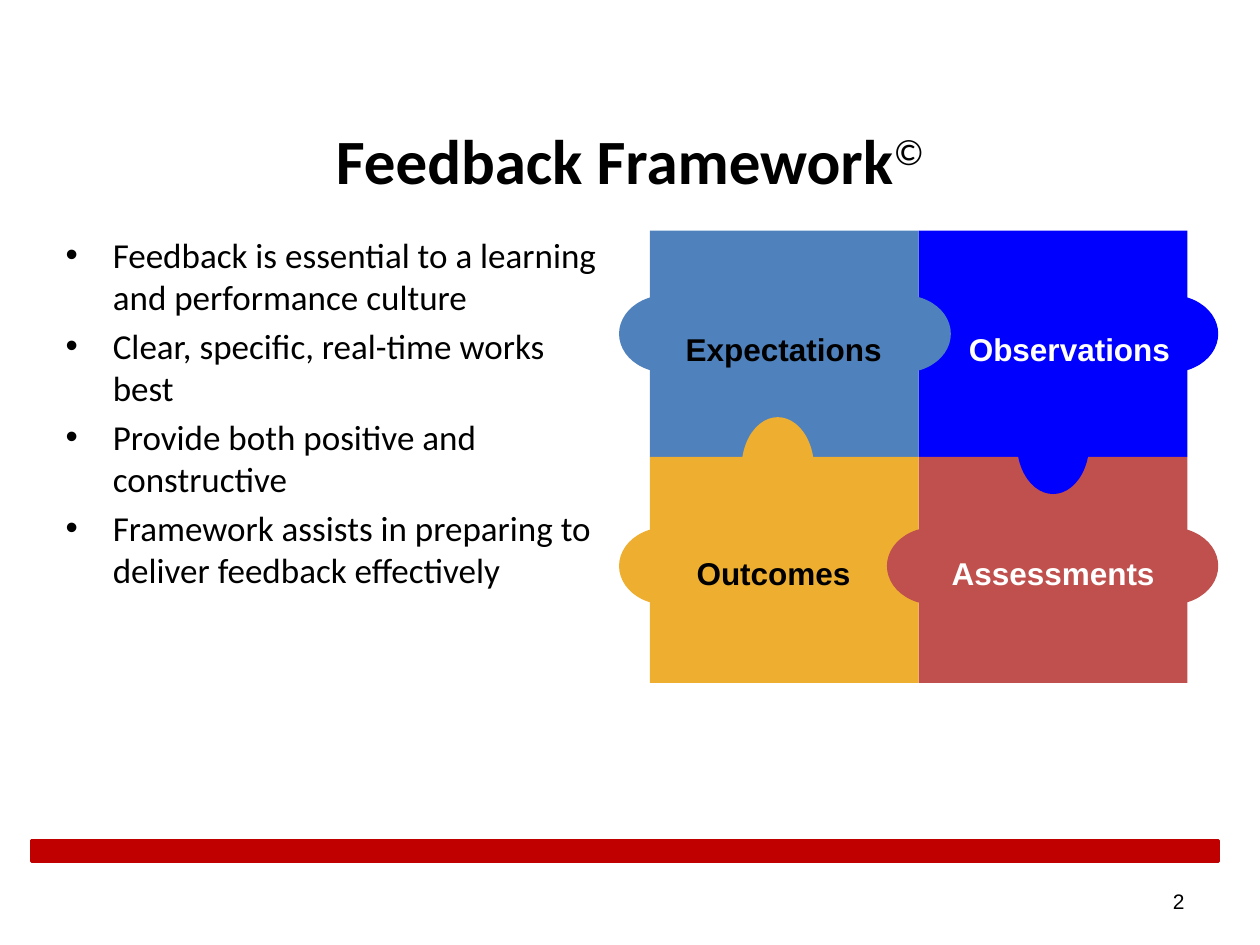
"""Build the Feedback Framework slide with a four-piece puzzle."""
from pptx import Presentation
from pptx import util as u
from pptx.dml.color import RGBColor
from pptx.enum import shapes, text

COLORS = {"black": "000000", "white": "FFFFFF", "red": "C00000", "blue": "0000FF",
          "steel": "4F81BD", "brick": "C0504D", "gold": "EEAF30"}


def add_block(s, kind, box, color):
    sp = s.shapes.add_shape(kind, *map(u.Cm, box))
    sp.shadow.inherit = False
    sp.fill.solid()
    sp.fill.fore_color.rgb = RGBColor.from_string(COLORS[color])
    sp.line.fill.background()
    return sp


def format_text(p, font, size, color, bold, align):
    p.alignment = align
    for r in p.runs:
        r.font.name = font
        r.font.size = u.Pt(size)
        r.font.bold = bold
        r.font.color.rgb = RGBColor.from_string(COLORS[color])


prs = Presentation()
prs.slide_width, prs.slide_height = u.Cm(25.4), u.Cm(19.05)
s = prs.slides.add_slide(prs.slide_layouts[1])

bar = add_block(s, shapes.MSO_SHAPE.RECTANGLE, (0.64, 16.94, 23.93, 0.43), "red")
bar.line.color.rgb = RGBColor.from_string(COLORS["red"])
bar.line.width = u.Pt(2)

title = s.shapes.title
title.left, title.top, title.width, title.height = map(u.Cm, (1.27, 2.48, 22.86, 1.47))
tf = title.text_frame
tf.vertical_anchor = text.MSO_ANCHOR.MIDDLE
p = tf.paragraphs[0]
p.text = "Feedback Framework"
r = p.add_run()
r.text = "©"
format_text(p, "Calibri", 36, "black", True, text.PP_ALIGN.CENTER)
r.font.bold = False
r.font._element.set("baseline", "30000")

body = s.placeholders[1]
body.left, body.top, body.width, body.height = map(u.Cm, (1.07, 4.57, 11.23, 10.9))
tf = body.text_frame
tf.text = "\n".join([
    "Feedback is essential to a learning and performance culture",
    "Clear, specific, real-time works best",
    "Provide both positive and constructive",
    "Framework assists in preparing to deliver feedback effectively",
])
for p in tf.paragraphs:
    format_text(p, "Calibri", 20, "black", False, text.PP_ALIGN.LEFT)
    pPr = p._p.get_or_add_pPr()
    pPr.set("marL", str(u.Cm(0.95)))
    pPr.set("indent", str(u.Cm(-0.95)))

LEFT, TOP, PIECE_W, PIECE_H = 13.1, 4.65, 5.42, 4.56
SIDE, UPRIGHT = (1.9, 1.56), (1.46, 2.04)
ARCS = {"right": (162, 54, SIDE), "left": (54, 162, SIDE),
        "down": (0, 108, UPRIGHT), "up": (108, 0, UPRIGHT)}
UPPER_Y, LOWER_Y = 6.73, 11.41
pieces = [
    ("blue", 1, 0, [("right", 23.61, UPPER_Y)]),
    ("steel", 0, 0, [("right", 18.22, UPPER_Y), ("left", 13.43, UPPER_Y)]),
    ("brick", 1, 1, [("right", 23.61, LOWER_Y)]),
    ("gold", 0, 1, [("left", 13.43, LOWER_Y), ("up", 15.68, 9.43)]),
]
overlaps = [("blue", "down", 21.23, 8.94), ("brick", "left", 18.83, LOWER_Y)]
knobs = []
for color, col, row, edges in pieces:
    box = (LEFT + col * PIECE_W, TOP + row * PIECE_H, PIECE_W, PIECE_H)
    add_block(s, shapes.MSO_SHAPE.RECTANGLE, box, color)
    knobs += [(color, *edge) for edge in edges]

for color, side, x, y in knobs + overlaps:
    start, end, (w, h) = ARCS[side]
    sp = add_block(s, shapes.MSO_SHAPE.ARC, (x - w / 2, y - h / 2, w, h), color)
    sp.adjustments[0], sp.adjustments[1] = start, end

labels = [
    ("Expectations", 13.49, 6.53, 4.62, 1.02, 18, "black", True, text.PP_ALIGN.CENTER),
    ("Observations", 19.25, 6.53, 4.62, 1.8, 18, "white", True, text.PP_ALIGN.CENTER),
    ("Assessments", 18.92, 11.05, 4.62, 1.8, 18, "white", True, text.PP_ALIGN.CENTER),
    ("Outcomes", 13.13, 11.05, 4.93, 1.02, 18, "black", True, text.PP_ALIGN.CENTER),
    ("2", 18.21, 17.65, 5.92, 1.02, 12, "black", False, text.PP_ALIGN.RIGHT),
]
for label, x, y, w, h, size, color, bold, align in labels:
    tf = s.shapes.add_textbox(*map(u.Cm, (x, y, w, h))).text_frame
    tf.word_wrap = True
    tf.text = label
    format_text(tf.paragraphs[0], "Arial", size, color, bold, align)
tf.vertical_anchor = text.MSO_ANCHOR.MIDDLE

prs.save("out.pptx")
